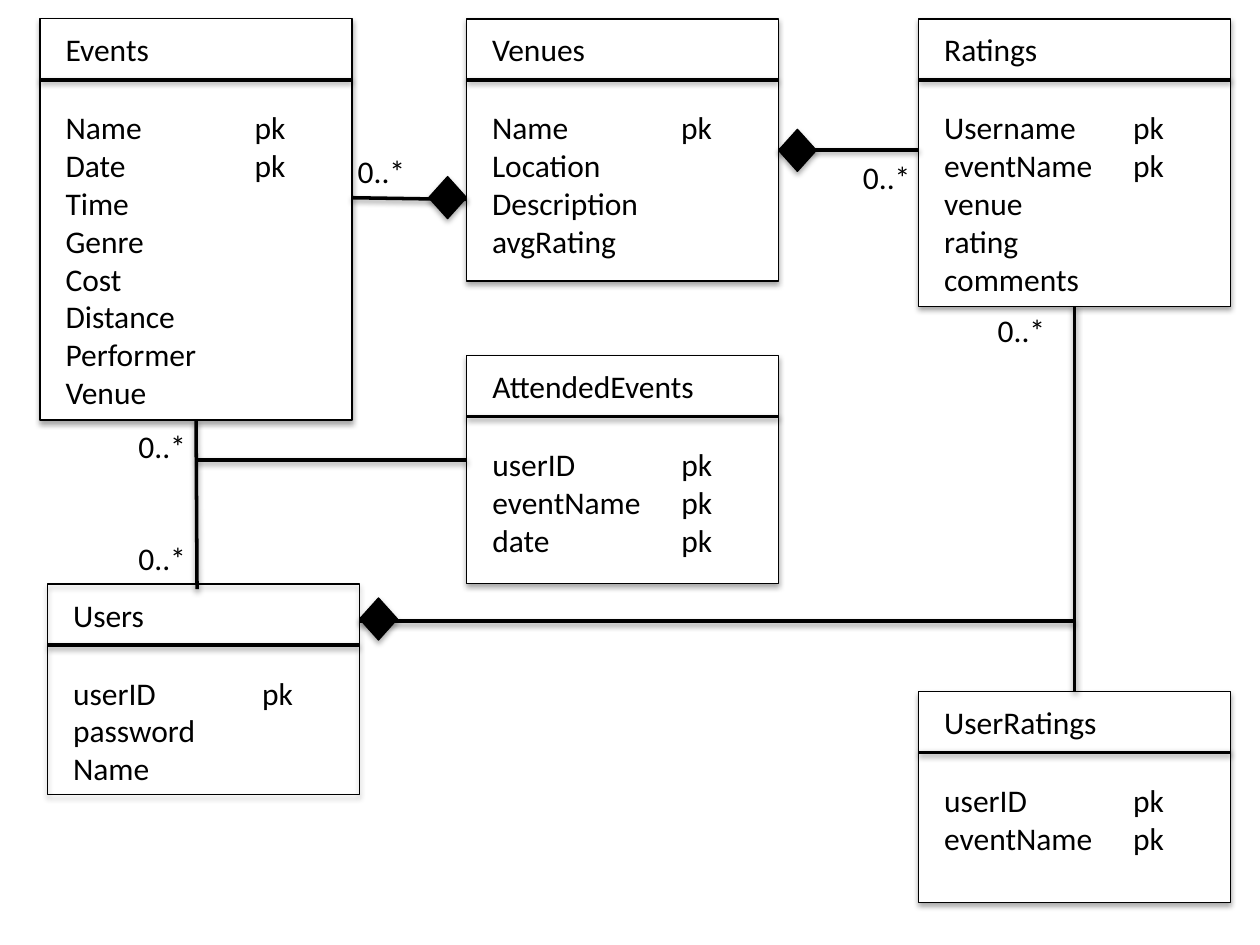
from lxml.etree import SubElement
from pptx import Presentation
from pptx.dml.color import RGBColor
from pptx.enum.shapes import MSO_CONNECTOR as CONN, MSO_SHAPE as SHAPE
from pptx.enum.text import MSO_AUTO_SIZE as AUTO
from pptx.oxml.ns import qn
from pptx.util import Pt

BLACK, WHITE = "000000", "FFFFFF"
BOX_W, HEAD_H = 178.3, 34.8      # every entity box
ROW_H, PAD = 21.8, 7.2           # text line, and top plus bottom inset
KEY_TAB = 108                    # where the "pk" column starts
DIAMOND_W, DIAMOND_H = 21.6, 24

# name: left, top, height, fill, attributes
ENTITIES = {
    "Events": (22.9, 10.8, 229.2, WHITE,
               ["Name\tpk", "Date\tpk", "Time", "Genre", "Cost",
                "Distance", "Performer", "Venue"]),
    "Venues": (266.6, 10.8, 149.8, WHITE,
               ["Name\tpk", "Location", "Description", "avgRating"]),
    "Ratings": (525, 10.8, 164.2, WHITE,
                ["Username\tpk", "eventName\tpk", "venue", "rating", "comments"]),
    "Users": (27.2, 333.8, 120.2, None,
              ["userID\tpk", "password", "Name"]),
    "AttendedEvents": (266.8, 203.3, 130.1, WHITE,
                       ["userID\tpk", "eventName\tpk", "date\tpk"]),
    "UserRatings": (525, 395.1, 120.5, WHITE,
                    ["userID\tpk", "eventName\tpk"]),
}

# start, end, entity joined at the start, entity joined at the end
RELATIONS = [
    ((112, 240), (112.6, 336.7), ("Events", 2), None),
    ((112.6, 263), (266.8, 263), None, None),
    ((614.1, 175), (614.1, 395.1), ("Ratings", 2), ("UserRatings", 0)),
    ((205.5, 355), (614.1, 355), None, None),
    ((444.9, 85.7), (525, 85.7), ("Venues", 3), None),
    ((201.2, 113), (266.8, 114), None, None),
]
DIAMONDS = [(444.9, 73.9), (245, 100.9), (205.5, 341.7)]
# left, top, width of each multiplicity label
LABELS = [(72, 240.4, 51), (486, 86.6, 47), (197.3, 83.5, 77),
          (72, 304.6, 51), (563, 174.2, 51)]


def color(hex_str):
    return RGBColor.from_string(hex_str)


def add_shadow(s, alpha, dist):
    effects = SubElement(s._element.spPr, qn("a:effectLst"))
    shadow = SubElement(effects, qn("a:outerShdw"), blurRad=str(Pt(3.15)),
                        dist=str(Pt(dist)), dir="5400000", rotWithShape="0")
    clr = SubElement(shadow, qn("a:srgbClr"), val=BLACK)
    SubElement(clr, qn("a:alpha"), val=str(alpha * 1000))


def add_box(slide, kind, x, y, w, h, fill):
    s = slide.shapes.add_shape(kind, Pt(x), Pt(y), Pt(w), Pt(h))
    if fill:
        s.fill.solid()
        s.fill.fore_color.rgb = color(fill)
    else:
        s.fill.background()
    s.line.color.rgb = color(BLACK)
    s.line.width = Pt(0.75)
    add_shadow(s, 35, 1.8)
    return s


def add_line(slide, start, end):
    s = slide.shapes.add_connector(CONN.STRAIGHT, *map(Pt, start + end))
    s.line.color.rgb = color(BLACK)
    s.line.width = Pt(2)
    add_shadow(s, 38, 1.6)
    return s


def add_text(slide, x, y, w, lines):
    s = slide.shapes.add_textbox(Pt(x), Pt(y), Pt(w), Pt(len(lines) * ROW_H + PAD))
    tf = s.text_frame
    tf.word_wrap = True
    tf.auto_size = AUTO.SHAPE_TO_FIT_TEXT
    for i, line in enumerate(lines):
        p = tf.add_paragraph() if i else tf.paragraphs[0]
        if "\t" in line:
            tabs = SubElement(p._p.get_or_add_pPr(), qn("a:tabLst"))
            SubElement(tabs, qn("a:tab"), pos=str(Pt(KEY_TAB)), algn="l")
        r = p.add_run()
        r.text = line
        r.font.name = "Calibri"
        r.font.size = Pt(18)
        r.font.color.rgb = color(BLACK)


def add_entity(slide, name, x, y, h, fill, attributes):
    box = add_box(slide, SHAPE.RECTANGLE, x, y, BOX_W, h, fill)
    add_line(slide, (x, y + HEAD_H), (x + BOX_W, y + HEAD_H))
    add_text(slide, x + 7.5, y + 3, 155.5, [name])
    add_text(slide, x + 7.5, y + 47.6, 150, attributes)
    return box


def add_relations(slide, boxes):
    for start, end, begin_at, end_at in RELATIONS:
        line = add_line(slide, start, end)
        if begin_at:
            line.begin_connect(boxes[begin_at[0]], begin_at[1])
        if end_at:
            line.end_connect(boxes[end_at[0]], end_at[1])
    # Composition ends
    for x, y in DIAMONDS:
        add_box(slide, SHAPE.DIAMOND, x, y, DIAMOND_W, DIAMOND_H, BLACK)
    # Multiplicities
    for x, y, w in LABELS:
        add_text(slide, x, y, w, ["0..*"])


def main():
    prs = Presentation()
    prs.slide_width, prs.slide_height = Pt(720), Pt(540)
    slide = prs.slides.add_slide(prs.slide_layouts[6])
    boxes = {name: add_entity(slide, name, *entity)
             for name, entity in ENTITIES.items()}
    add_relations(slide, boxes)
    prs.save("out.pptx")


if __name__ == "__main__":
    main()
